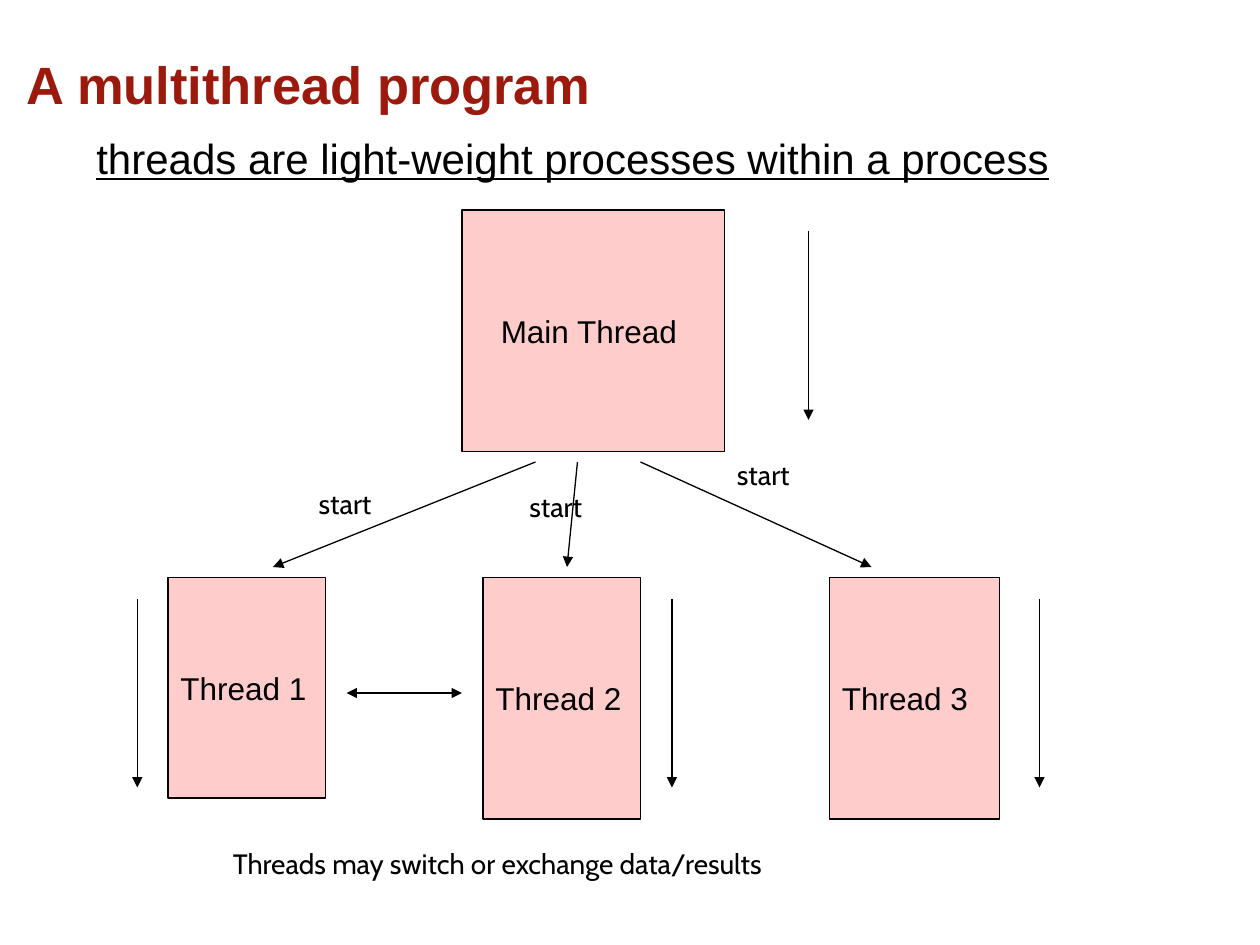
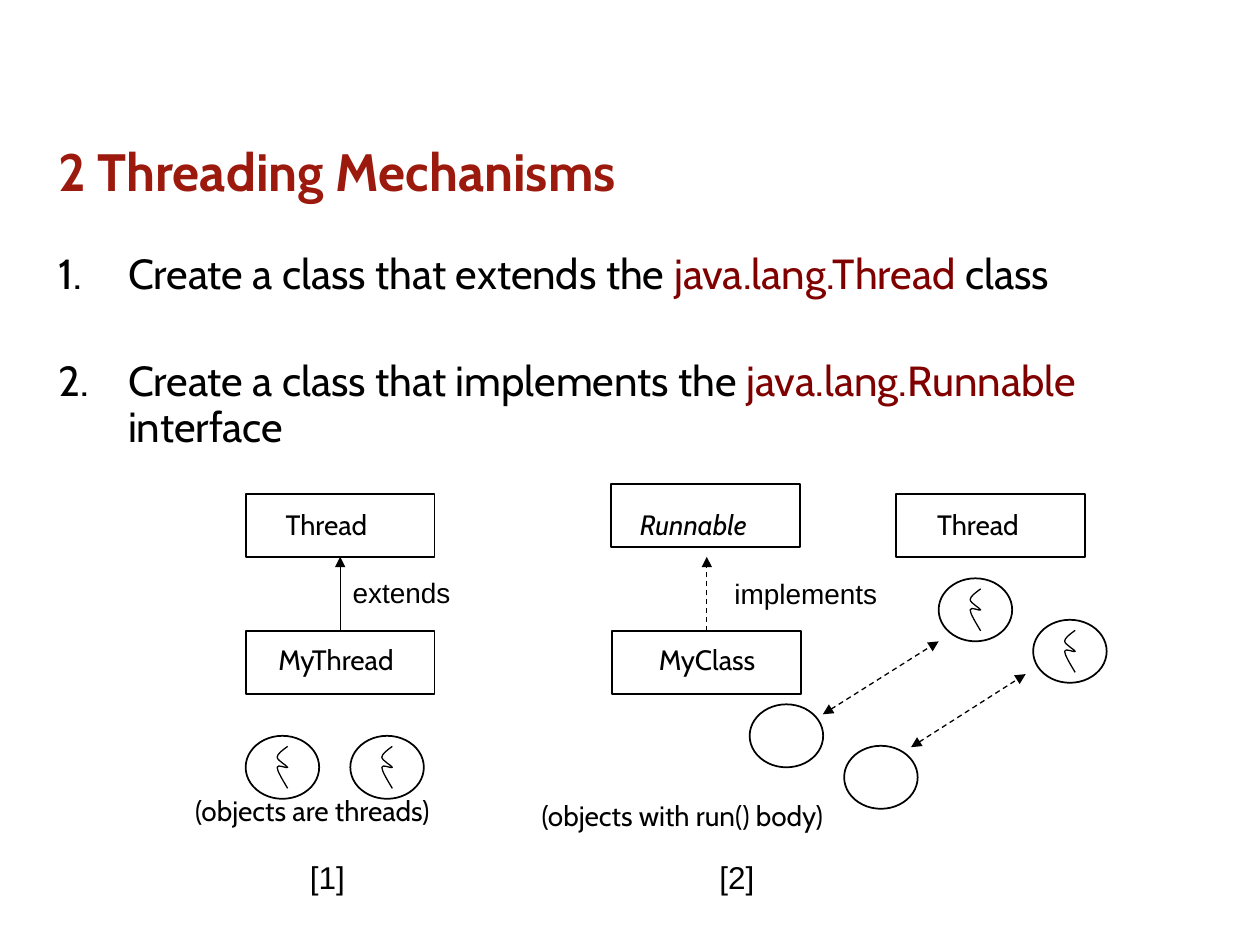
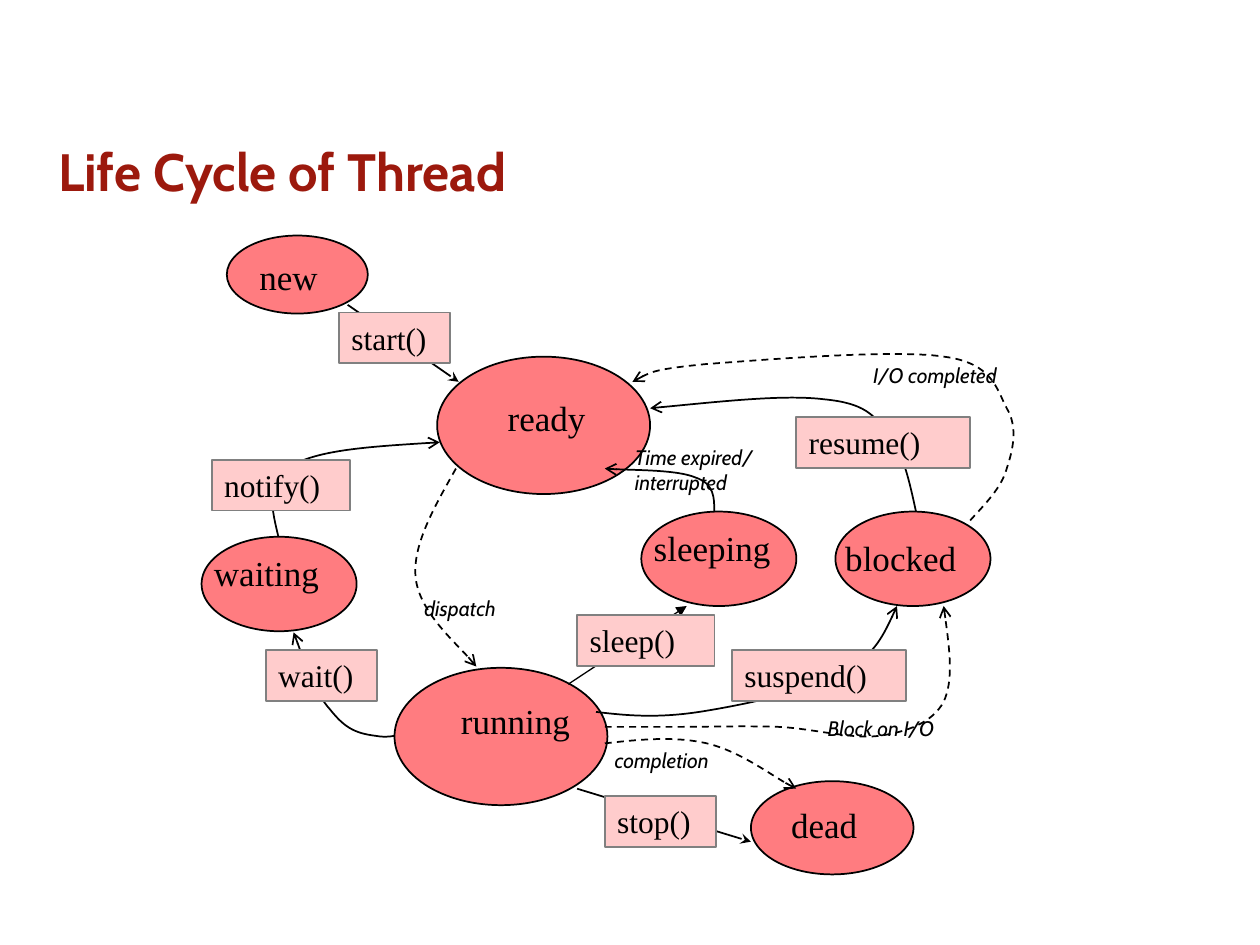
from pptx import Presentation
from pptx.dml.color import RGBColor
from pptx.enum.dml import MSO_LINE
from pptx.enum.shapes import MSO_CONNECTOR, MSO_SHAPE
from pptx.enum.text import MSO_ANCHOR, MSO_AUTO_SIZE as FIT, PP_ALIGN
from pptx.oxml.ns import qn
from pptx.util import Pt
from lxml.etree import SubElement

RECT, OVAL, LINE = MSO_SHAPE.RECTANGLE, MSO_SHAPE.OVAL, MSO_CONNECTOR.STRAIGHT
BLACK, RED, MAROON = "000000", "9C190D", "800000"
PINK, CORAL, GRAY = "FFCCCC", "FF7C80", "808080"
SERIF = "Times New Roman"
rgb = RGBColor.from_string


def ink(shape, width=1, fill=None, color=BLACK, dash=False, head=None, tail=None):
    if hasattr(shape, "fill"):
        shape.fill.background()
        if fill:
            shape.fill.solid()
            shape.fill.fore_color.rgb = rgb(fill)
    line = shape.line
    line.color.rgb = rgb(color)
    line.width = Pt(width)
    if dash:
        line.dash_style = MSO_LINE.DASH
    props = shape._element.spPr
    for end, kind in (("a:headEnd", head), ("a:tailEnd", tail)):
        if kind:
            SubElement(props.find(qn("a:ln")), qn(end), type=kind)
    SubElement(props, qn("a:effectLst"))


def write(shape, text, size, font="Cabin", color=BLACK, wrap=False, fit=FIT.SHAPE_TO_FIT_TEXT):
    frame = shape.text_frame
    frame.word_wrap = wrap
    frame.auto_size = fit
    para = frame.paragraphs[0]
    para.text = text
    para.alignment = PP_ALIGN.LEFT
    para.font.size = Pt(size)
    para.font.name = font
    para.font.color.rgb = rgb(color)
    return para


deck = Presentation()
deck.slide_width, deck.slide_height = Pt(720), Pt(540)

for kind, text, font, left, top in (
    (5, "A multithread program", "Arial", 8, 21.6),
    (1, "2 Threading Mechanisms", "Cabin", 26, 71.3),
    (5, "Life Cycle of Thread", "Cabin", 26, 71.3),
):
    title = deck.slides.add_slide(deck.slide_layouts[kind]).shapes.title
    title.left, title.top, title.width, title.height = Pt(left), Pt(top), Pt(668), Pt(52)
    title.text_frame.vertical_anchor = MSO_ANCHOR.MIDDLE
    write(title, text, 30, font, RED, True, FIT.NONE).font.bold = True

multi, mech, life = [slide.shapes for slide in deck.slides]

for text, left, top, width, height, inset in (
    ("Main Thread", 264, 120, 150, 138, 22.2),
    ("Thread 1", 96, 330, 90, 126, 7.2),
    ("Thread 2", 276, 330, 90, 138, 7.2),
    ("Thread 3", 474, 330, 97, 138, 7.2),
):
    box = multi.add_shape(RECT, Pt(left), Pt(top), Pt(width), Pt(height))
    ink(box, 0.75, PINK)
    write(box, text, 18, "Arial", fit=FIT.NONE)
    box.text_frame.margin_left = Pt(inset)
    box.text_frame.vertical_anchor = MSO_ANCHOR.MIDDLE

falls = [(x, y, x, y + 108, None) for x, y in ((462, 132), (594, 342), (384, 342), (78.5, 342))]
starts = [(306, 264, 156, 324, None), (330, 264, 324, 324, None), (366, 264, 498, 324, None)]
swap = (198, 396, 264, 396, "triangle")
for x1, y1, x2, y2, head in starts + falls + [swap]:
    arrow = multi.add_connector(LINE, Pt(x1), Pt(y1), Pt(x2), Pt(y2))
    ink(arrow, 0.75, head=head, tail="triangle")

for text, left, top, width in (
    ("start", 175, 274.5, 46.8),
    ("start", 295.4, 276, 46.8),
    ("start", 414, 258, 46.8),
    ("Threads may switch or exchange data/results", 126, 480, 335.5),
):
    write(multi.add_textbox(Pt(left), Pt(top), Pt(width), Pt(26.6)), text, 16)

lead = multi.add_textbox(Pt(48), Pt(72), Pt(564.5), Pt(36.7))
write(lead, "threads are light-weight processes within a process", 24, "Arial").font.underline = True

body = mech.placeholders[1] if hasattr(mech, "placeholders") else deck.slides[1].placeholders[1]
body.left, body.top, body.width, body.height = Pt(26), Pt(141), Pt(668), Pt(344)
frame = body.text_frame
frame.auto_size = FIT.NONE
for para, gap, parts in (
    (frame.paragraphs[0], 4.8, ("Create a class that extends the ", "java.lang.Thread ", "class")),
    (frame.add_paragraph(), 35.5, ("Create a class that implements the ", "java.lang.Runnable", " interface")),
):
    para.line_spacing = 0.9
    para.space_before = Pt(gap)
    para.font.size = Pt(24)
    para.font.name = "Cabin"
    props = para._p.get_or_add_pPr()
    props.set("marL", str(Pt(40)))
    props.set("indent", str(Pt(-40)))
    mark = props.makeelement(qn("a:buAutoNum"), {"type": "arabicPeriod"})
    props.find(qn("a:defRPr")).addprevious(mark)
    for part, color in zip(parts, (BLACK, MAROON, BLACK)):
        run = para.add_run()
        run.text = part
        run.font.color.rgb = rgb(color)

for left, top in ((140.4, 282.2), (140.4, 360.7), (349.9, 360.7), (511.9, 282.2), (349.2, 276.5)):
    ink(mech.add_shape(RECT, Pt(left), Pt(top), Pt(108), Pt(36)))

wave = [(24, 6), (21, 8.2), (18, 10.4), (18, 12.2), (18, 14), (24, 17.3), (24, 18),
        (24, 19), (18, 15.8), (18, 18), (18, 20), (21, 25), (24, 30)]
curves = []
for left, top, live in (
    (140.4, 420.5, True), (200.2, 420.5, True), (536.4, 330.5, True),
    (590.4, 354.2, True), (428.4, 402.5, False), (482.4, 426.2, False),
):
    ink(mech.add_shape(OVAL, Pt(left), Pt(top), Pt(42), Pt(36)))
    if live:
        curves.append((mech, 0.75, False, None, [(left + x, top + y) for x, y in wave]))

for x1, y1, x2, y2, dash, head in (
    (194.4, 360.7, 194.4, 318.2, False, None),
    (403.9, 360.7, 403.9, 318.2, True, None),
    (470.2, 408.2, 536.4, 366.5, True, "triangle"),
    (520.6, 427, 586.1, 385.2, True, "triangle"),
):
    arrow = mech.add_connector(LINE, Pt(x1), Pt(y1), Pt(x2), Pt(y2))
    ink(arrow, 0.75, dash=dash, head=head, tail="triangle")

for text, left, top, width, size, font in (
    ("Thread", 156.2, 286.6, 64, 16, "Cabin"),
    ("MyThread", 152, 363.6, 84.2, 16, "Cabin"),
    ("Runnable", 358.6, 286.6, 80, 16, "Cabin"),
    ("MyClass", 369.4, 363.6, 70.6, 16, "Cabin"),
    ("Thread", 528.5, 286.6, 64, 16, "Cabin"),
    ("(objects are threads)", 104.4, 450, 162.7, 16, "Cabin"),
    ("(objects with run() body)", 302.4, 452.9, 192.2, 16, "Cabin"),
    ("[1]", 170, 486.7, 34.6, 18, "Arial"),
    ("[2]", 404, 486.7, 34.6, 18, "Arial"),
    ("extends", 194.4, 325.4, 71.3, 16, "Arial"),
    ("implements", 412.6, 326.2, 97.2, 16, "Arial"),
):
    label = mech.add_textbox(Pt(left), Pt(top), Pt(width), Pt(26.6))
    para = write(label, text, size, font)
    if text == "Runnable":
        para.font.italic = True

for left, top, width, height, text, x, y, span in (
    (129.6, 134.6, 80.6, 44.6, "new", 141.1, 142.6, 49),
    (115.2, 306.7, 88.6, 54, "waiting", 115.2, 311.8, 76.3),
    (249.8, 203.8, 121.7, 78.5, "ready", 283, 223.2, 59.8),
    (225.4, 381.6, 121.7, 78.5, "running", 256.3, 396, 77.8),
    (429.1, 446.4, 92.9, 53.3, "dead", 445, 455.8, 53.3),
    (366.5, 292.3, 88.6, 54, "sleeping", 366.5, 297.4, 82.1),
    (477.4, 292.3, 88.6, 54, "blocked", 475.9, 303.1, 78.5),
):
    ink(life.add_shape(OVAL, Pt(left), Pt(top), Pt(width), Pt(height)), fill=CORAL)
    write(life.add_textbox(Pt(x), Pt(y), Pt(span), Pt(31.7)), text, 20, SERIF)

notify = [(159.1, 306.7), (155.5, 291.6), (151.2, 275.8), (166.3, 266.4),
          (181.4, 257), (216.7, 254.9), (251.3, 252.7)]
wait = [(225.4, 420.5), (221.8, 421.2), (218.2, 421.2), (214.6, 420.5), (202.3, 419),
        (196.6, 415.4), (188.6, 405.4), (180.7, 396.7), (174.2, 378.7), (167.8, 361.4)]
wake = [(408.2, 292.3), (408.2, 284.4), (408.2, 276.5), (397.4, 272.9),
        (387.4, 268.6), (353.5, 268.6), (345.6, 267.8)]
suspend = [(340.6, 406.8), (358.6, 409), (375.8, 410.4), (399.6, 406.8), (422.6, 403.2),
           (461.5, 395.3), (480.2, 385.2), (499, 375.1), (506.2, 360.7), (512.6, 346.3)]
resume = [(523.4, 292.3), (519.8, 275.8), (516.2, 258.5), (507.6, 247.7), (499, 236.9),
          (493.9, 230.4), (470.9, 228.2), (448.6, 225.4), (409.7, 229.7), (371.5, 233.3)]
dispatch = [(260.6, 267.8), (248.4, 289.4), (235.4, 311.8), (237.6, 330.5),
            (239.8, 349.2), (266.4, 373), (272.2, 380.9)]
finish = [(345.6, 424.8), (365, 422.6), (385.2, 420.5), (403.9, 424.8),
          (421.9, 429.1), (445.7, 446.4), (455, 450.7)]
block = [(345.6, 415.4), (357.8, 415.4), (370.8, 415.4), (387.4, 415.4), (403.9, 415.4),
         (425.5, 414.7), (445, 415.4), (463.7, 416.2), (486.7, 422.6), (502.6, 420.5),
         (517.7, 418.3), (532.8, 413.3), (539.3, 401), (545, 388.8), (542.2, 367.2), (539.3, 346.3)]
unblock = [(554.4, 297.4), (563, 288), (572.4, 278.6), (575.3, 267.8), (578.9, 257),
           (581.8, 244.1), (575.3, 233.3), (569.5, 222.5), (567.4, 207.4), (539.3, 203.8),
           (510.5, 199.4), (432.7, 205.9), (403.2, 208.1), (373.7, 211), (367.2, 214.6), (361.4, 218.2)]
curves += [(life, 1, False, "arrow", points) for points in (notify, wait, wake, suspend, resume)]
curves += [(life, 1, True, "arrow", points) for points in (dispatch, finish, block, unblock)]

for shapes, width, dash, tail, points in curves:
    first, *rest = [(Pt(x), Pt(y)) for x, y in points]
    pen = shapes.build_freeform(*first)
    pen.add_line_segments(rest, close=False)
    curve = pen.convert_to_shape()
    legs = curve._element.xpath(".//a:lnTo")
    for bend, *others in zip(legs[::3], legs[1::3], legs[2::3]):
        bend.tag = qn("a:cubicBezTo")
        for leg in others:
            bend.append(leg[0])
            leg.getparent().remove(leg)
    ink(curve, width, dash=dash, tail=tail)

for x1, y1, x2, y2, width, tail in (
    (198.7, 174.2, 262.1, 218.2, 1, "stealth"),
    (329.8, 450.7, 429.1, 481, 1, "stealth"),
    (324.7, 391, 392.4, 346.3, 0.75, "triangle"),
):
    ink(life.add_connector(LINE, Pt(x1), Pt(y1), Pt(x2), Pt(y2)), width, tail=tail)

for text, left, top, width in (
    ("start()", 193.7, 178.6, 63.4),
    ("stop()", 345.6, 455, 63.4),
    ("wait()", 151.9, 371.5, 63.4),
    ("notify()", 121, 262.8, 79.2),
    ("sleep()", 329.8, 351.4, 78.5),
    ("suspend()", 418.3, 371.5, 99.4),
    ("resume()", 455, 238.3, 99.4),
):
    call = life.add_shape(RECT, Pt(left), Pt(top), Pt(width), Pt(29))
    ink(call, fill=PINK, color=GRAY)
    write(call, text, 18, SERIF, wrap=True)
    call.text_frame.vertical_anchor = MSO_ANCHOR.TOP

for text, left, top, width, height in (
    ("dispatch", 235.4, 337, 62.6, 21.6),
    ("completion", 344.2, 423.4, 76.3, 21.6),
    ("Block on I/O", 465.8, 405.4, 85, 21.6),
    ("I/O completed", 491.8, 203.8, 95, 21.6),
    ("Time expired/\vinterrupted", 355.7, 250.6, 92.2, 36.7),
):
    label = life.add_textbox(Pt(left), Pt(top), Pt(width), Pt(height))
    write(label, text, 12).font.italic = True

deck.save("out.pptx")
